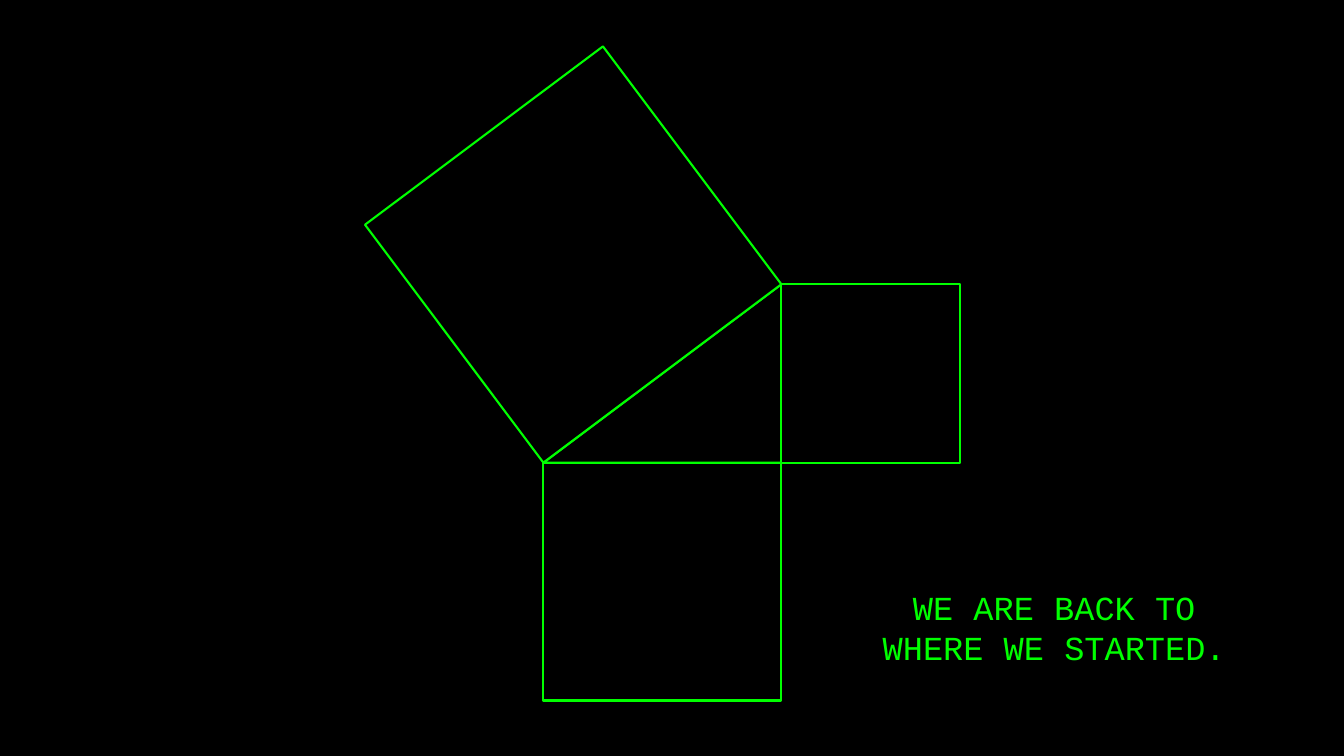
from math import atan2, degrees

from pptx import Presentation
from pptx.dml.color import RGBColor
from pptx.enum.shapes import MSO_SHAPE
from pptx.enum.text import MSO_AUTO_SIZE, PP_ALIGN
from pptx.util import Inches, Pt

BLACK = RGBColor(0x00, 0x00, 0x00)
GREEN = RGBColor(0x00, 0xFF, 0x00)

# A 3-4-5 triangle, with its right angle at the corner point
UNIT = 0.59
SHORT_LEG, LONG_LEG, HYPOTENUSE = 3 * UNIT, 4 * UNIT, 5 * UNIT
CORNER_X, CORNER_Y = 7.75, 4.59
MIDDLE_X, MIDDLE_Y = CORNER_X - LONG_LEG / 2, CORNER_Y - SHORT_LEG / 2
SLOPE = degrees(atan2(SHORT_LEG, LONG_LEG))

presentation = Presentation()
presentation.slide_width = Inches(13.33)
presentation.slide_height = Inches(7.5)
slide = presentation.slides.add_slide(presentation.slide_layouts[6])
slide.background.fill.solid()
slide.background.fill.fore_color.rgb = BLACK


def add_text(text, left, top, width, height, size=24, font="Courier New",
             color=GREEN, alignment=PP_ALIGN.CENTER):
    box = slide.shapes.add_textbox(Inches(left), Inches(top), Inches(width), Inches(height))
    frame = box.text_frame
    frame.word_wrap = True
    frame.auto_size = MSO_AUTO_SIZE.SHAPE_TO_FIT_TEXT
    paragraph = frame.paragraphs[0]
    paragraph.alignment = alignment
    run = paragraph.add_run()
    run.text = text
    run.font.name = font
    run.font.size = Pt(size)
    run.font.color.rgb = color


# Triangle and the squares on its sides: kind, centre, width, height, rotation
figures = [
    (MSO_SHAPE.RIGHT_TRIANGLE, MIDDLE_X, MIDDLE_Y, SHORT_LEG, LONG_LEG, 270),
    (MSO_SHAPE.RECTANGLE, CORNER_X + SHORT_LEG / 2, MIDDLE_Y, SHORT_LEG, SHORT_LEG, 0),
    (MSO_SHAPE.RECTANGLE, MIDDLE_X, CORNER_Y + LONG_LEG / 2, LONG_LEG, LONG_LEG, 0),
    (MSO_SHAPE.RECTANGLE, MIDDLE_X - SHORT_LEG / 2, MIDDLE_Y - LONG_LEG / 2,
     HYPOTENUSE, HYPOTENUSE, 360 - SLOPE),
]
for kind, center_x, center_y, width, height, rotation in figures:
    shape = slide.shapes.add_shape(kind, Inches(center_x - width / 2), Inches(center_y - height / 2),
                                   Inches(width), Inches(height))
    shape.rotation = rotation
    shape.shadow.inherit = False
    shape.fill.solid()
    shape.fill.fore_color.rgb = BLACK
    shape.line.color.rgb = GREEN
    shape.line.width = Pt(1.5)

# Closing remark
add_text("WE ARE BACK TO WHERE WE STARTED.", 8.64, 5.77, 3.63, 0.91)

presentation.save("out.pptx")
